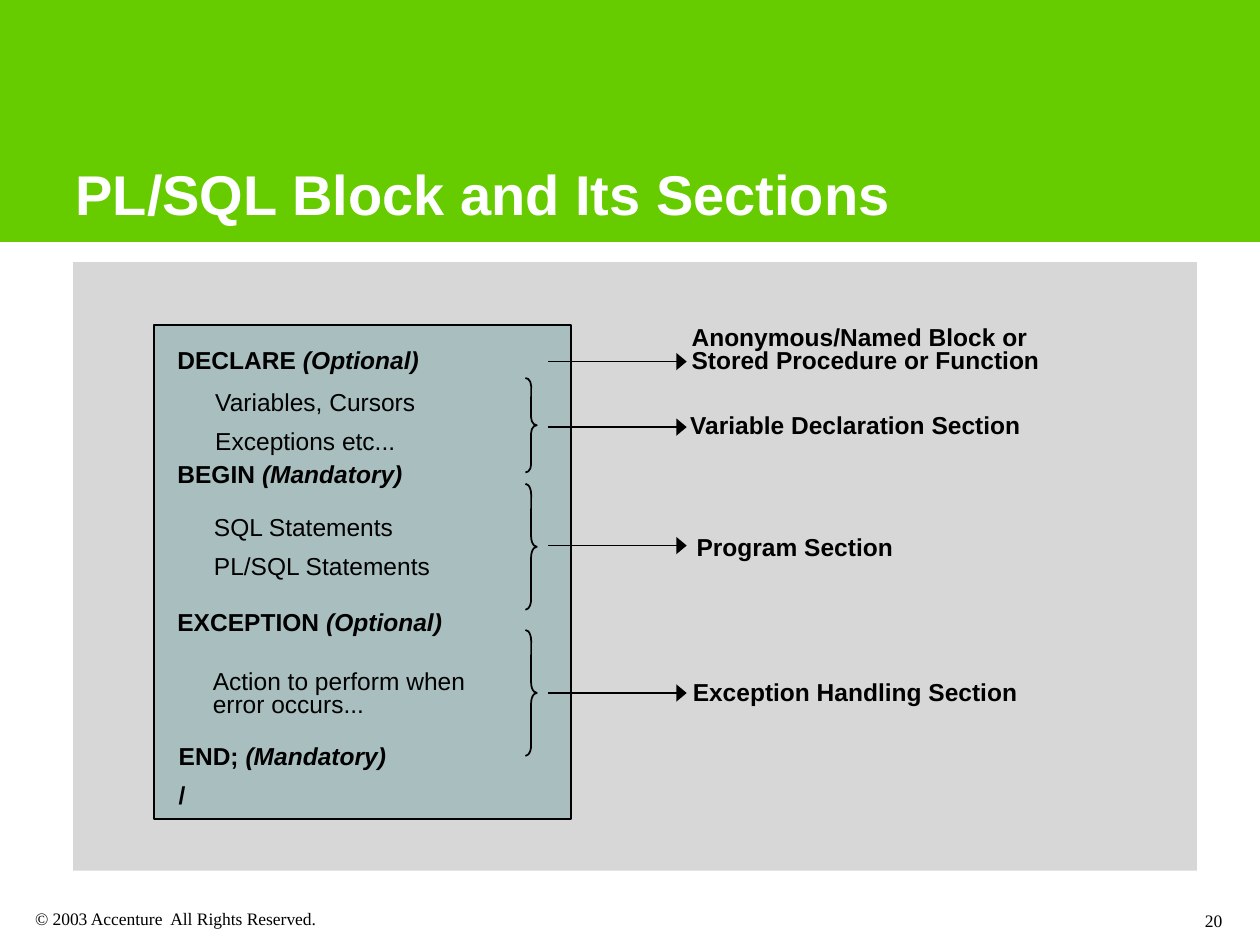
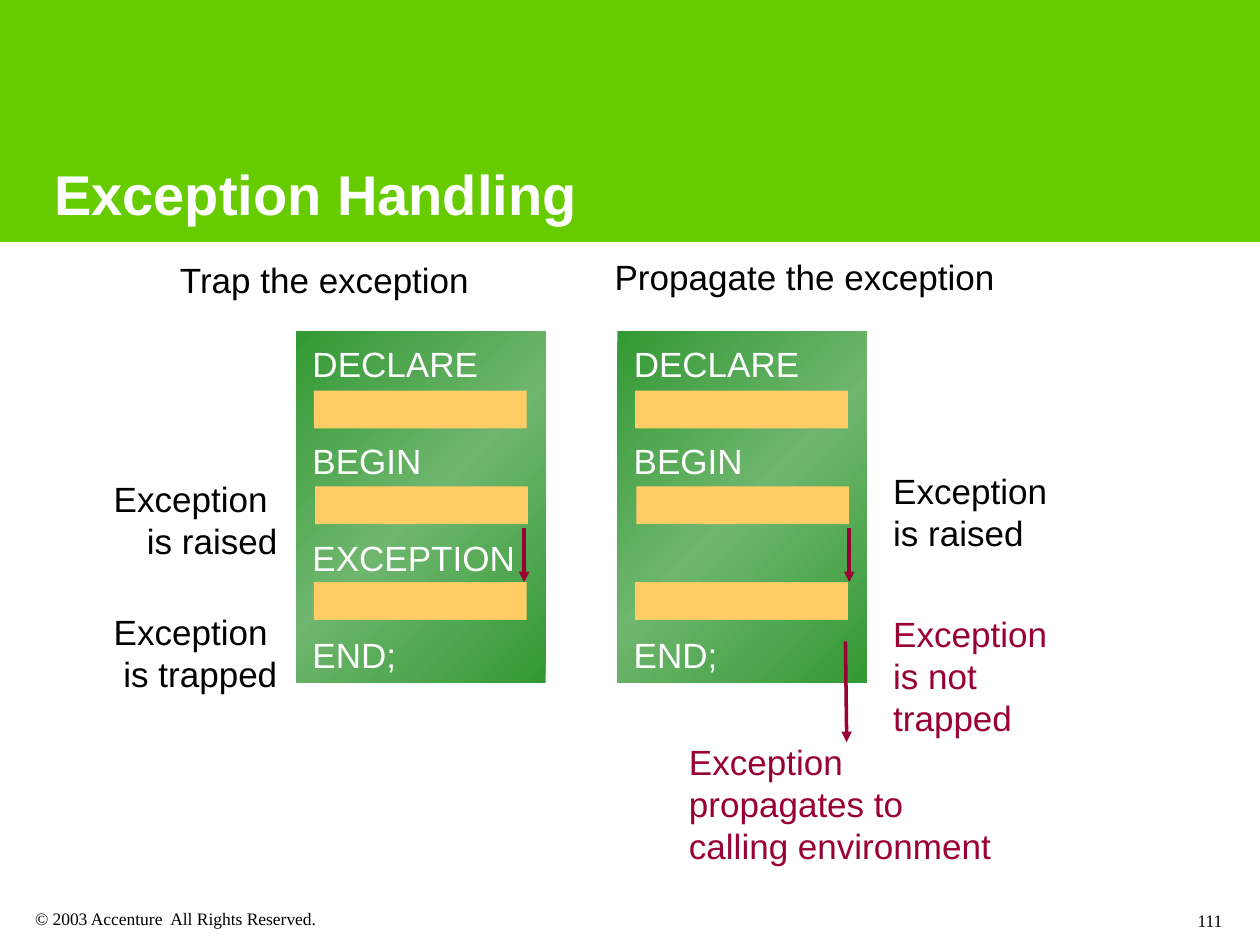
import lxml.etree
import pptx
import pptx.dml.color
import pptx.enum.dml
import pptx.enum.shapes
import pptx.enum.text
import pptx.oxml.ns
import pptx.util

Inches = pptx.util.Inches
Pt = pptx.util.Pt
SHAPES = pptx.enum.shapes.MSO_SHAPE
ALIGN = pptx.enum.text.PP_ALIGN
ANCHOR = pptx.enum.text.MSO_ANCHOR
AUTO_SIZE = pptx.enum.text.MSO_AUTO_SIZE
qn = pptx.oxml.ns.qn

COLORS = {
    "band": "66CC00",
    "white": "FFFFFF",
    "black": "000000",
    "panel": "D7D7D7",
    "code": "A9BEBF",
    "block_dark": "339933",
    "block_light": "6FB66F",
    "statements": "FFCC66",
    "alert": "990033",
}
COPYRIGHT = "© 2003 Accenture  All Rights Reserved."


def rgb(name):
    return pptx.dml.color.RGBColor.from_string(COLORS[name])


# Shared drawing helpers
def add_rectangle(slide, left, top, width, height, fill, line=None):
    shape = slide.shapes.add_shape(
        SHAPES.RECTANGLE, Inches(left), Inches(top), Inches(width), Inches(height))
    shape.shadow.inherit = False
    shape.fill.solid()
    shape.fill.fore_color.rgb = rgb(fill)
    if line:
        shape.line.color.rgb = rgb(line)
        shape.line.width = Pt(1)
    else:
        shape.line.fill.background()
    return shape


def add_text(slide, left, top, width, height, paragraphs, size, color="black",
             bold=False, font="Arial", align=ALIGN.LEFT, anchor=ANCHOR.TOP,
             wrap=True, grow=True, spacing=None, before=0, insets=(0.1, 0.05)):
    """Each paragraph is a list of runs; a run is (text, italic)."""
    box = slide.shapes.add_textbox(
        Inches(left), Inches(top), Inches(width), Inches(height))
    frame = box.text_frame
    frame.word_wrap = wrap
    frame.auto_size = AUTO_SIZE.SHAPE_TO_FIT_TEXT if grow else AUTO_SIZE.NONE
    frame.vertical_anchor = anchor
    frame.margin_left = frame.margin_right = Inches(insets[0])
    frame.margin_top = frame.margin_bottom = Inches(insets[1])
    for index, runs in enumerate(paragraphs):
        paragraph = frame.add_paragraph() if index else frame.paragraphs[0]
        paragraph.alignment = align
        if spacing:
            paragraph.line_spacing = spacing
        if index and before:
            paragraph.space_before = Pt(before)
        for text, italic in runs:
            run = paragraph.add_run()
            run.text = text
            run.font.name = font
            run.font.size = Pt(size)
            run.font.bold = bold
            run.font.italic = italic
            run.font.color.rgb = rgb(color)
    return box


def plain(*lines):
    return [[(line, False)] for line in lines]


def add_arrow(slide, start, end, color, width, head_width="med"):
    arrow = slide.shapes.add_connector(
        pptx.enum.shapes.MSO_CONNECTOR.STRAIGHT,
        *(Inches(value) for value in (*start, *end)))
    arrow.line.color.rgb = rgb(color)
    arrow.line.width = Pt(width)
    properties = arrow.element.spPr
    lxml.etree.SubElement(properties.find(qn("a:ln")), qn("a:tailEnd"),
                          type="triangle", w=head_width, len="med")
    lxml.etree.SubElement(properties, qn("a:effectLst"))


# Band, title and footer
def add_master_band(presentation, slide):
    band = add_rectangle(slide, 0, 0, 10, 1.92, "band")
    band.element.nvSpPr.cNvPr.set("id", "99")
    presentation.slide_master.shapes.element.insert(2, band.element)


def start_slide(presentation, title, left, top, height, number):
    slide = presentation.slides.add_slide(presentation.slide_layouts[5])
    placeholder = slide.shapes.title
    placeholder.left, placeholder.top = Inches(left), Inches(top)
    placeholder.width, placeholder.height = Inches(6.89), Inches(height)
    frame = placeholder.text_frame
    frame.auto_size = AUTO_SIZE.NONE
    frame.vertical_anchor = ANCHOR.BOTTOM
    paragraph = frame.paragraphs[0]
    paragraph.alignment = ALIGN.LEFT
    run = paragraph.add_run()
    run.text = title
    run.font.name = "Arial"
    run.font.size = Pt(32)
    run.font.bold = True
    run.font.color.rgb = rgb("white")
    footer = dict(size=10, font="Times New Roman", anchor=ANCHOR.BOTTOM, grow=False)
    add_text(slide, 0.18, 6.92, 7.76, 0.5, plain(COPYRIGHT), **footer)
    add_text(slide, 7.95, 7.14, 1.85, 0.3, plain(number),
             align=ALIGN.RIGHT, spacing=0.8, **footer)
    return slide


# PL/SQL block: code on the left, section names on the right
SECTION_TEXT = dict(size=14, spacing=0.8, before=8.8)


def add_code_panel(slide, left, top):
    add_rectangle(slide, left, top, 3.31, 3.92, "code", "black")
    keywords = [
        (0.09, 0.15, 2.2, "DECLARE ", "(Optional)"),
        (0.09, 1.06, 2.1, "BEGIN ", "(Mandatory)"),
        (0.09, 2.23, 2.4, "EXCEPTION ", "(Optional)"),
        (0.1, 3.3, 2, "END; ", "(Mandatory)"),
    ]
    for x, y, width, keyword, status in keywords:
        paragraphs = [[(keyword, False), (status, True)]]
        if keyword == "END; ":
            paragraphs += plain("/")
        add_text(slide, left + x, top + y, width, 0.28 + 0.31 * (len(paragraphs) - 1),
                 paragraphs, bold=True, **SECTION_TEXT)
    contents = [
        (0.39, 0.49, 2.12, 0.59, ["Variables, Cursors", "Exceptions etc..."]),
        (0.38, 1.48, 2, 0.59, ["SQL Statements", "PL/SQL Statements"]),
        (0.37, 2.7, 2.22, 0.47, ["Action to perform when error occurs..."]),
    ]
    for x, y, width, height, lines in contents:
        add_text(slide, left + x, top + y, width, height, plain(*lines), **SECTION_TEXT)


def add_brace(slide, left, top, height):
    width = 0.09
    brace = slide.shapes.add_shape(
        SHAPES.RIGHT_BRACE, Inches(left), Inches(top), Inches(width), Inches(height))
    brace.shadow.inherit = False
    brace.fill.background()
    brace.line.color.rgb = rgb("black")
    brace.line.width = Pt(1)
    brace.adjustments[0] = height / 12 / width


def add_section_names(slide, left, top):
    for y, height in [(0.42, 0.75), (1.26, 1), (2.42, 1)]:
        add_brace(slide, left, top + y, height)
    names = [
        (0.29, 1.22, -0.03, 3.49, 0.47,
         "Anonymous/Named Block or Stored Procedure or Function"),
        (0.81, 1.21, 0.67, 2.9, 0.28, "Variable Declaration Section"),
        (1.75, 1.26, 1.64, 2.14, 0.28, "Program Section"),
        (2.92, 1.23, 2.79, 2.9, 0.28, "Exception Handling Section"),
    ]
    for arrow_y, x, y, width, height, name in names:
        add_arrow(slide, (left + 0.18, top + arrow_y), (left + 1.28, top + arrow_y),
                  "black", 1, head_width="lg")
        add_text(slide, left + x, top + y, width, height, plain(name),
                 bold=True, **SECTION_TEXT)


def build_sections_slide(presentation):
    slide = start_slide(presentation, "PL/SQL Block and Its Sections", 0.5, 1.08, 0.77, "20")
    add_master_band(presentation, slide)
    add_rectangle(slide, 0.58, 2.08, 8.92, 4.83, "panel")
    add_code_panel(slide, 1.22, 2.58)
    add_section_names(slide, 4.17, 2.58)


# Exception handling: two program blocks side by side
def set_sheen(shape):
    shape.fill.gradient()
    shape.fill.gradient_angle = 315
    stops = shape.element.spPr.find(".//" + qn("a:gsLst"))
    for stop in list(stops):
        stops.remove(stop)
    for position, color in [(0, "block_dark"), (50, "block_light"), (100, "block_dark")]:
        stop = lxml.etree.SubElement(stops, qn("a:gs"), pos=str(position * 1000))
        lxml.etree.SubElement(stop, qn("a:srgbClr"), val=COLORS[color])


def add_program_block(slide, left, top, keywords):
    set_sheen(add_rectangle(slide, left, top, 1.98, 2.79, "block_dark"))
    for row, x in enumerate([0.14, 0.15, 0.14]):
        add_rectangle(slide, left + x, top + 0.47 + 0.76 * row, 1.69, 0.3, "statements")
    for row, (keyword, width) in enumerate(keywords):
        if keyword:
            add_text(slide, left + 0.05, top + 0.05 + 0.77 * row, width, 0.41,
                     plain(keyword), 20, "white", wrap=False, insets=(0.08, 0.04))


def build_handling_slide(presentation):
    slide = start_slide(presentation, "Exception Handling", 0.33, 1.17, 0.68, "111")
    declare, begin, end = ("DECLARE", 1.48), ("BEGIN", 1.03), ("END;", 0.83)
    top, trap_left, propagate_left = 2.63, 2.35, 4.9
    add_program_block(slide, trap_left, top, [declare, begin, ("EXCEPTION", 1.77), end])
    add_program_block(slide, propagate_left, top, [declare, begin, ("", 0), end])

    # Headings
    add_text(slide, 1.33, 2, 3, 0.43, plain("Trap the exception"), 20)
    add_text(slide, 4.78, 2, 3.97, 0.42, plain("Propagate the exception"), 20, spacing=0.95)

    # Remarks beside the blocks
    remarks = [
        (0.65, 3.74, 1.65, 0.77, ["Exception ", "is raised"], "black", ALIGN.RIGHT),
        (0.65, 4.8, 1.65, 0.77, ["Exception ", "is trapped"], "black", ALIGN.RIGHT),
        (6.99, 3.68, 1.65, 0.77, ["Exception ", "is raised"], "black", ALIGN.LEFT),
        (6.99, 4.81, 1.65, 1.1, ["Exception is not trapped"], "alert", ALIGN.LEFT),
        (5.37, 5.83, 2.74, 1.1, ["Exception propagates to calling environment"],
         "alert", ALIGN.LEFT),
    ]
    for left, y, width, height, lines, color, align in remarks:
        add_text(slide, left, y, width, height, plain(*lines), 20, color, align=align)

    # Path of the exception
    for start, end_point in [((4.16, 4.19), (4.16, 4.62)),
                             ((6.74, 4.19), (6.74, 4.62)),
                             ((6.71, 5.09), (6.72, 5.89))]:
        add_arrow(slide, start, end_point, "alert", 2)


def main():
    presentation = pptx.Presentation()
    presentation.slide_width = Inches(10)
    presentation.slide_height = Inches(7.5)
    build_sections_slide(presentation)
    build_handling_slide(presentation)
    presentation.save("out.pptx")


if __name__ == "__main__":
    main()
